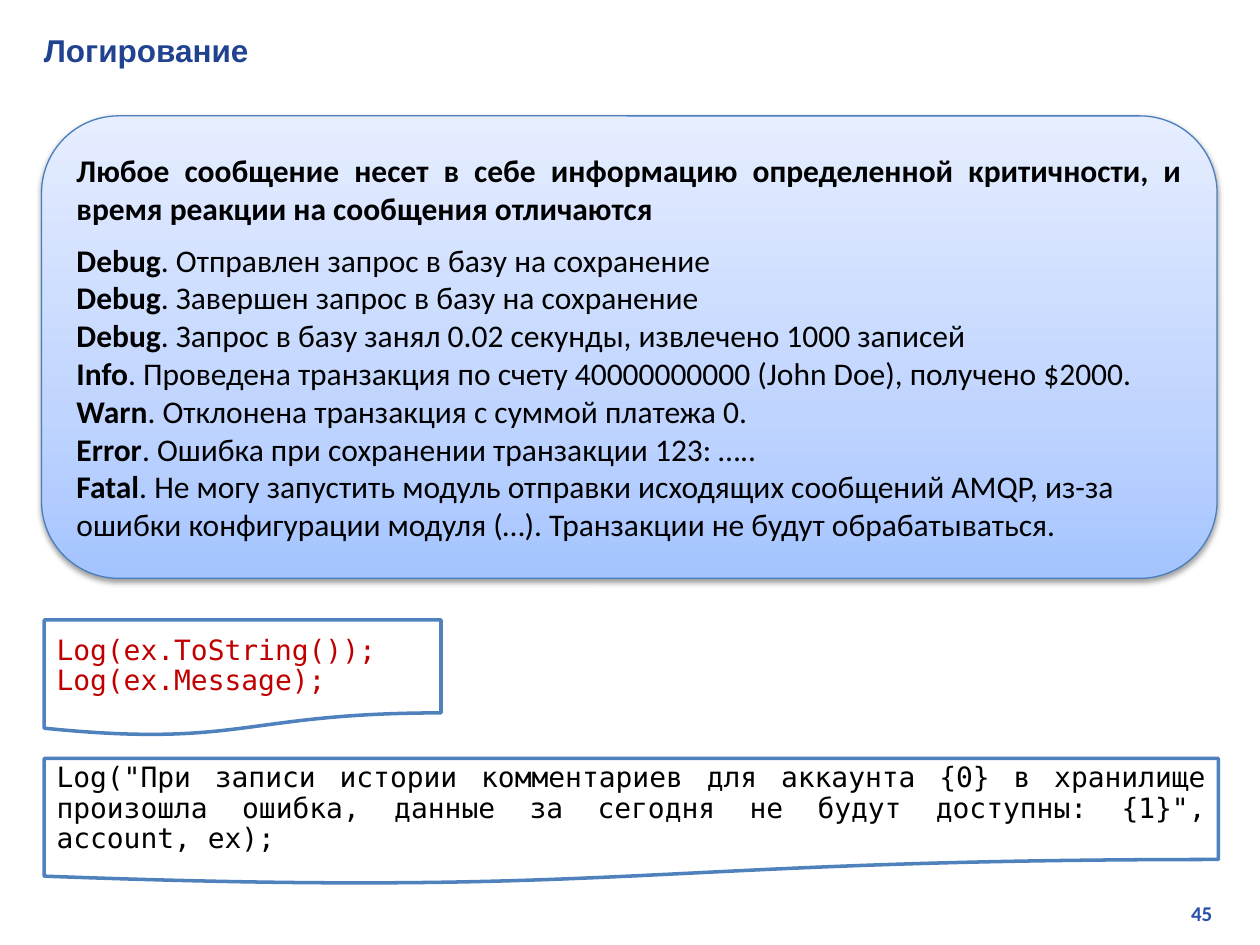
from lxml.etree import SubElement
from pptx import Presentation
from pptx.dml.color import RGBColor
from pptx.enum.shapes import MSO_SHAPE
from pptx.enum.text import MSO_ANCHOR, PP_ALIGN
from pptx.oxml.ns import qn
from pptx.util import Inches, Pt

MONO = "DejaVu Sans Mono"
INTRO = ("Любое сообщение несет в себе информацию определенной критичности, "
         "и время реакции на сообщения отличаются")
LOG_LINES = [
    ("Debug", "Отправлен запрос в базу на сохранение"),
    ("Debug", "Завершен запрос в базу на сохранение"),
    ("Debug", "Запрос в базу занял 0.02 секунды, извлечено 1000 записей"),
    ("Info", "Проведена транзакция по счету 40000000000 (John Doe), получено $2000."),
    ("Warn", "Отклонена транзакция с суммой платежа 0."),
    ("Error", "Ошибка при сохранении транзакции 123: ….."),
    ("Fatal", "Не могу запустить модуль отправки исходящих сообщений AMQP, из-за "
              "ошибки конфигурации модуля (…). Транзакции не будут обрабатываться."),
]
BAD_CODE = ["Log(ex.ToString());", "Log(ex.Message);"]
GOOD_CODE = ['Log("При записи истории комментариев для аккаунта {0} в хранилище '
             'произошла ошибка, данные за сегодня не будут доступны: {1}", account, ex);']


def rgb(value):
    return RGBColor.from_string(value)


def format_paragraph(p, **values):
    for name, value in values.items():
        setattr(p, name, value)


def add_run(p, text, color="000000", **font):
    r = p.add_run()
    r.text = text
    r.font.color.rgb = rgb(color)
    for name, value in font.items():
        setattr(r.font, name, value)


def add_label(s, box, text, align, color, **font):
    tf = s.shapes.add_textbox(*map(Inches, box)).text_frame
    tf.word_wrap = True
    tf.vertical_anchor = MSO_ANCHOR.MIDDLE
    p = tf.paragraphs[0]
    p.alignment = align
    add_run(p, text, color, bold=True, **font)


def add_outlined_shape(s, kind, box, line, width):
    sp = s.shapes.add_shape(kind, *map(Inches, box))
    sp.shadow.inherit = False
    sp.line.color.rgb = rgb(line)
    sp.line.width = Pt(width)
    sp.text_frame.word_wrap = True
    sp.text_frame.vertical_anchor = MSO_ANCHOR.MIDDLE
    return sp


def set_gradient(sp, stops, angle):
    sp.fill.gradient()
    sp.fill.gradient_angle = angle
    gs_list = sp.element.spPr.find(qn("a:gradFill")).find(qn("a:gsLst"))
    for gs in list(gs_list):
        gs_list.remove(gs)
    for pos, color in stops:
        gs = SubElement(gs_list, qn("a:gs"), pos=str(pos * 1000))
        SubElement(gs, qn("a:srgbClr"), val=color)


def set_shadow(sp, color, opacity, blur, distance):
    """Drop a soft shadow straight down."""
    effects = sp.element.spPr.find(qn("a:effectLst"))
    shadow = SubElement(effects, qn("a:outerShdw"), blurRad=str(Pt(blur)),
                        dist=str(Pt(distance)), dir="5400000", rotWithShape="0")
    clr = SubElement(shadow, qn("a:srgbClr"), val=color)
    SubElement(clr, qn("a:alpha"), val=str(opacity * 1000))


def add_levels_panel(s):
    sp = add_outlined_shape(s, MSO_SHAPE.ROUNDED_RECTANGLE,
                            (0.33, 0.92, 9.33, 3.67), "4B7EBC", 0.75)
    set_gradient(sp, [(0, "A4C4FF"), (35, "BFD4FF"), (100, "E6EEFF")], 90)
    set_shadow(sp, "000000", 38, 3.1, 1.6)
    font = {"name": "Calibri", "size": Pt(18)}
    tf = sp.text_frame
    p = tf.paragraphs[0]
    format_paragraph(p, alignment=PP_ALIGN.JUSTIFY, space_after=Pt(8))
    add_run(p, INTRO, bold=True, **font)
    p = tf.add_paragraph()
    format_paragraph(p, alignment=PP_ALIGN.LEFT, space_after=Pt(8))
    for i, (level, message) in enumerate(LOG_LINES):
        if i:
            p.add_line_break()
        add_run(p, level, bold=True, **font)
        add_run(p, f". {message}", bold=False, **font)


def add_code_note(s, box, lines, color):
    sp = add_outlined_shape(s, MSO_SHAPE.FLOWCHART_DOCUMENT, box, "4F81BD", 2)
    sp.fill.solid()
    sp.fill.fore_color.rgb = rgb("FFFFFF")
    tf = sp.text_frame
    for i, line in enumerate(lines):
        p = tf.add_paragraph() if i else tf.paragraphs[0]
        format_paragraph(p, alignment=PP_ALIGN.JUSTIFY, line_spacing=0.9)
        add_run(p, line, color, name=MONO, size=Pt(16))


def main():
    prs = Presentation()
    prs.slide_width, prs.slide_height = Inches(10), Inches(7.5)
    s = prs.slides.add_slide(prs.slide_layouts[6])
    add_label(s, (7.6, 7.1, 2.12, 0.3), "45", PP_ALIGN.RIGHT, "2750AB",
              name="Calibri", size=Pt(12))
    add_label(s, (0.25, 0.2, 9.54, 0.4), "Логирование", PP_ALIGN.LEFT, "21438F",
              name="Arial", size=Pt(18))
    add_levels_panel(s)
    add_code_note(s, (0.35, 4.92, 3.15, 0.92), BAD_CODE, "C00000")
    add_code_note(s, (0.35, 6.02, 9.32, 1), GOOD_CODE, "000000")
    prs.save("out.pptx")


if __name__ == "__main__":
    main()
